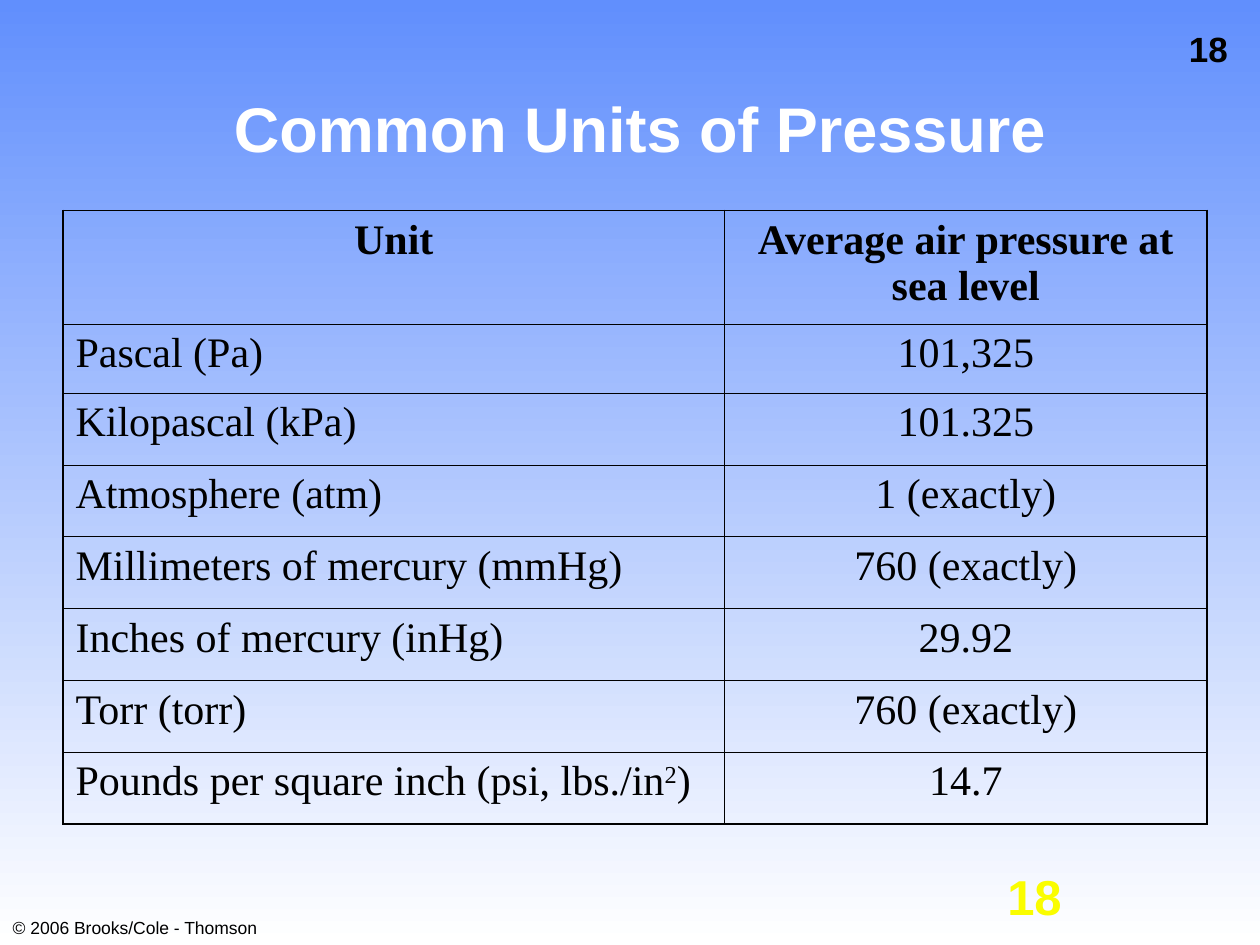
from lxml import etree
from pptx import Presentation
from pptx.dml.color import RGBColor
from pptx.enum import text
from pptx.oxml import ns
from pptx.util import Inches, Pt

HUES = {"sky": "618FFD", "white": "FFFFFF", "ink": "000000", "gold": "FAFD00"}
MID = text.PP_ALIGN.CENTER
LEFT = text.PP_ALIGN.LEFT
THIN, THICK = 0.45, 1.08
ROWS = [
    ("Unit", "Average air pressure at sea level"),
    ("Pascal (Pa)", "101,325"),
    ("Kilopascal (kPa)", "101.325"),
    ("Atmosphere (atm)", "1 (exactly)"),
    ("Millimeters of mercury (mmHg)", "760 (exactly)"),
    ("Inches of mercury (inHg)", "29.92"),
    ("Torr (torr)", "760 (exactly)"),
    ("Pounds per square inch (psi, lbs./in^2^)", "14.7"),
]
WIDTHS = [5.25, 3.83]
HEIGHTS = [0.9, 0.55] + [0.57] * 6


def tint(name):
    return RGBColor.from_string(HUES[name])


class Deck:
    def __init__(self):
        self.show = Presentation()
        self.show.slide_width = Inches(10)
        self.show.slide_height = Inches(7.5)
        self.slide = self.show.slides.add_slide(self.show.slide_layouts[6])
        self.base = {"name": "Arial", "size": Pt(24), "bold": False}

    def back(self, *hues):
        fill = self.slide.background.fill
        fill.gradient()
        fill.gradient_angle = 270
        for stop, hue in zip(fill.gradient_stops, hues):
            stop.color.rgb = tint(hue)

    def phrase(self, frame, words, hue="ink", align=MID, **look):
        para = frame.paragraphs[0]
        para.alignment = align
        for spot, part in enumerate(words.split("^")):
            run = para.add_run()
            run.text = part
            for key, value in {**self.base, **look}.items():
                setattr(run.font, key, value)
            run.font.color.rgb = tint(hue)
            if spot % 2:
                run.font._element.set("baseline", "30000")
        return para

    def label(self, spot, words, wrap=True, anchor=text.MSO_ANCHOR.TOP, **look):
        box = self.slide.shapes.add_textbox(*map(Inches, spot))
        box.text_frame.word_wrap = wrap
        box.text_frame.vertical_anchor = anchor
        return self.phrase(box.text_frame, words, **look)

    def edge(self, cell, sides):
        props = cell._tc.get_or_add_tcPr()
        for spot, (side, width) in enumerate(sides.items()):
            line = etree.Element(ns.qn("a:ln" + side), w=str(int(Pt(width))))
            fill = etree.SubElement(line, ns.qn("a:solidFill"))
            etree.SubElement(fill, ns.qn("a:srgbClr"), val=HUES["ink"])
            props.insert(spot, line)

    def table(self, left, top, rows, widths, heights):
        size = map(Inches, (left, top, sum(widths), sum(heights)))
        grid = self.slide.shapes.add_table(len(rows), len(widths), *size).table
        grid.first_row = grid.horz_banding = False
        for col, width in zip(grid.columns, widths):
            col.width = Inches(width)
        for row, height in zip(grid.rows, heights):
            row.height = Inches(height)
        end, last = len(rows) - 1, len(widths) - 1
        for r, row in enumerate(rows):
            for c, words in enumerate(row):
                cell = grid.cell(r, c)
                cell.fill.background()
                self.phrase(cell.text_frame, words, name="Times New Roman",
                            bold=r == 0, align=LEFT if r and c == 0 else MID)
                outer = {"L": c == 0, "R": c == last, "T": r == 0, "B": r == end}
                self.edge(cell, {s: THICK if o else THIN for s, o in outer.items()})


def main():
    deck = Deck()
    deck.back("sky", "white")
    deck.label((8.82, 0.17, 1.54, 0.44), "18", wrap=False, size=Pt(20), bold=True)
    deck.label((0, 7.23, 2.14, 0.27), "© 2006 Brooks/Cole - Thomson",
               wrap=False, size=Pt(10))
    deck.label((7.17, 6.83, 2.08, 0.5), "18", hue="gold", size=Pt(28), bold=True)
    title = deck.label((0.83, 0.42, 8.5, 1.25), "Common Units of Pressure",
                       anchor=text.MSO_ANCHOR.MIDDLE, hue="white",
                       size=Pt(36), bold=True)
    title.line_spacing = 0.9
    deck.table(0.5, 1.67, ROWS, WIDTHS, HEIGHTS)
    deck.show.save("out.pptx")


if __name__ == "__main__":
    main()
